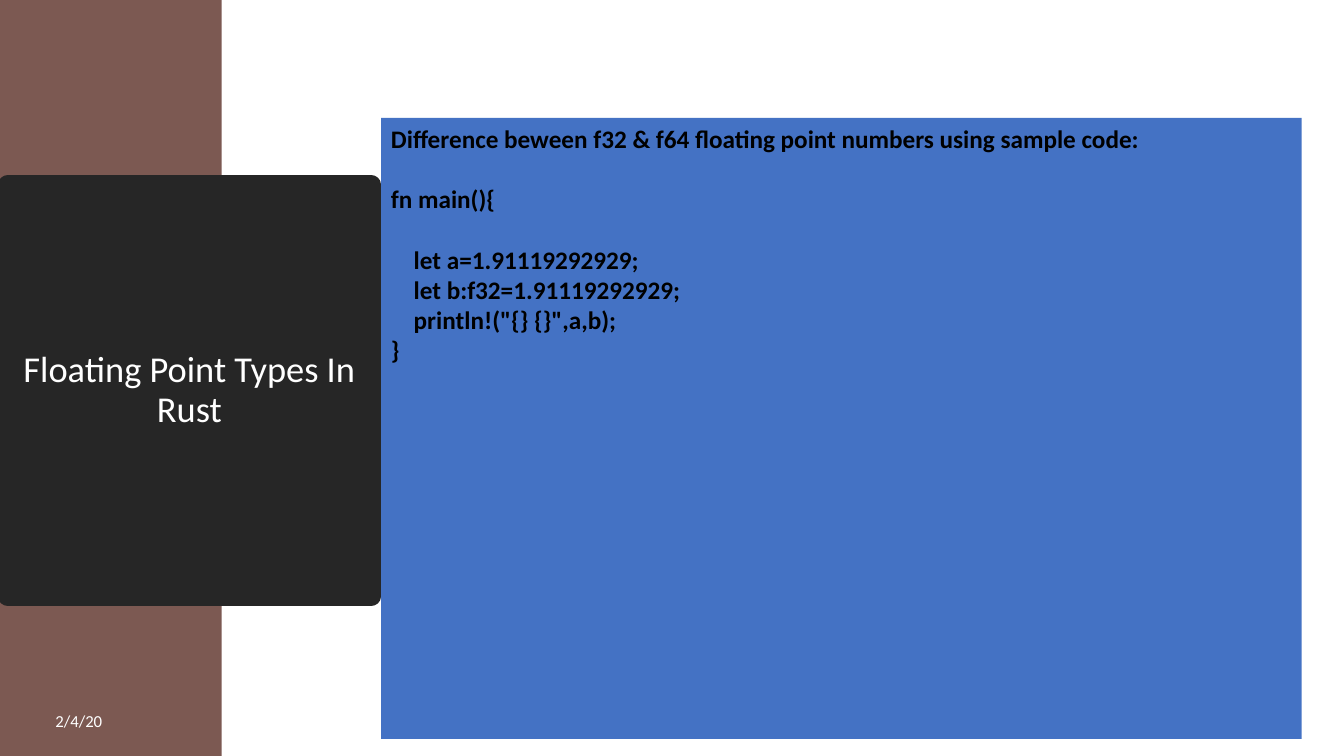
from pptx import Presentation
from pptx.dml.color import RGBColor
from pptx.enum import shapes, text
from pptx.util import Inches, Pt

WHITE = RGBColor(0xFF, 0xFF, 0xFF)
BLACK = RGBColor(0x00, 0x00, 0x00)
BROWN = RGBColor(0x7C, 0x59, 0x52)
CHARCOAL = RGBColor(0x26, 0x26, 0x26)
BLUE = RGBColor(0x44, 0x72, 0xC4)

FONT = "Calibri"
BLANK_LINE = 21.6
TITLE = "Floating Point Types In Rust"
DATE = "2/4/20"
CODE_LINES = [
    ("Difference beween f32 & f64 floating point numbers using sample code:", 0),
    ("fn main(){", BLANK_LINE),
    ("    let a=1.91119292929;", BLANK_LINE),
    ("    let b:f32=1.91119292929;", 0),
    ('    println!("{} {}",a,b);', 0),
    ("}", 0),
]


def add_panel(slide, box, color, line_width=0):
    panel = slide.shapes.add_shape(
        shapes.MSO_SHAPE.RECTANGLE, *[Inches(value) for value in box])
    panel.shadow.inherit = False
    panel.fill.solid()
    panel.fill.fore_color.rgb = color
    if line_width:
        panel.line.color.rgb = color
        panel.line.width = Pt(line_width)
    else:
        panel.line.fill.background()
    return panel


def write(shape, lines, size, color, anchor, alignment, bold=False, spacing=1.0):
    frame = shape.text_frame
    frame.word_wrap = True
    frame.vertical_anchor = anchor
    for index, (words, space_before) in enumerate(lines):
        paragraph = frame.add_paragraph() if index else frame.paragraphs[0]
        paragraph.alignment = alignment
        paragraph.line_spacing = spacing
        if space_before:
            paragraph.space_before = Pt(space_before)
        run = paragraph.add_run()
        run.text = words
        run.font.name = FONT
        run.font.size = Pt(size)
        run.font.bold = bold
        run.font.color.rgb = color


def main():
    presentation = Presentation()
    presentation.slide_width = Inches(13.33)
    presentation.slide_height = Inches(7.5)
    slide = presentation.slides.add_slide(presentation.slide_layouts[6])
    middle, top = text.MSO_ANCHOR.MIDDLE, text.MSO_ANCHOR.TOP
    left, center = text.PP_ALIGN.LEFT, text.PP_ALIGN.CENTER

    add_panel(slide, (0, 0, 2.2, 7.5), BROWN)

    title = add_panel(slide, (0.08, 1.83, 3.6, 4.09), CHARCOAL, 13.75)
    write(title, [(TITLE, 0)], 26, WHITE, middle, center, spacing=0.9)

    date = slide.shapes.add_textbox(
        Inches(0.45), Inches(6.95), Inches(1.62), Inches(0.4))
    write(date, [(DATE, 0)], 12, WHITE, middle, left)
    date.text_frame.paragraphs[0].space_after = Pt(6)

    code = add_panel(slide, (3.78, 1.17, 9.13, 6.16), BLUE)
    write(code, CODE_LINES, 18, BLACK, top, left, bold=True)

    presentation.save("out.pptx")


if __name__ == "__main__":
    main()
